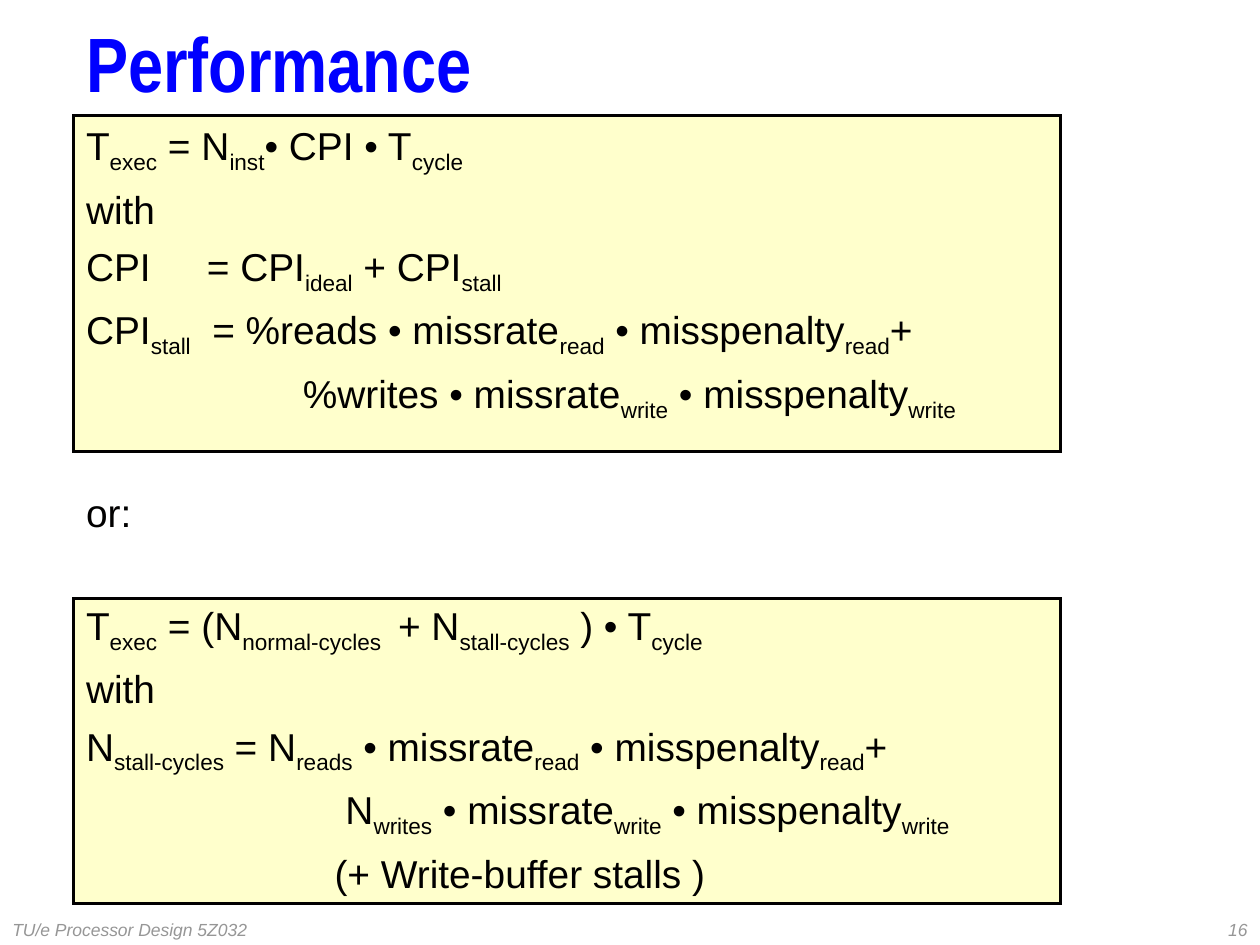
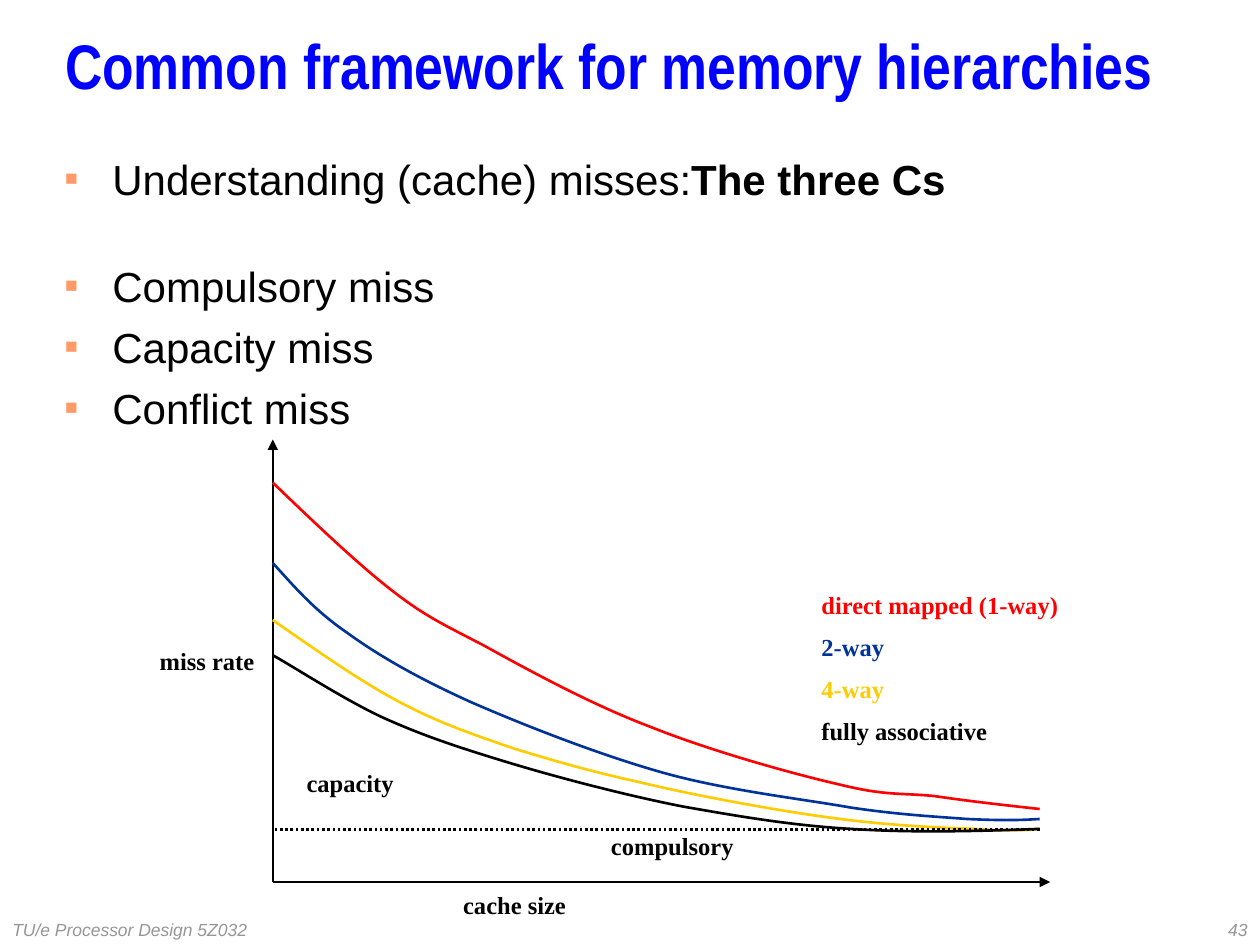
from dataclasses import dataclass
from typing import NamedTuple

from lxml import etree
from pptx import Presentation
from pptx.dml.color import RGBColor
from pptx.enum.dml import MSO_LINE
from pptx.enum.shapes import MSO_CONNECTOR, MSO_SHAPE
from pptx.enum.text import MSO_ANCHOR, MSO_AUTO_SIZE, PP_ALIGN
from pptx.oxml.ns import qn
from pptx.util import Cm, Pt

STRAIGHT = MSO_CONNECTOR.STRAIGHT
RECTANGLE = MSO_SHAPE.RECTANGLE
DOTTED = MSO_LINE.ROUND_DOT
MIDDLE = MSO_ANCHOR.MIDDLE
NO_AUTOFIT = MSO_AUTO_SIZE.NONE
LEFT, CENTER, RIGHT = PP_ALIGN.LEFT, PP_ALIGN.CENTER, PP_ALIGN.RIGHT


@dataclass(frozen=True)
class Theme:
    ink: str = "010000"
    title: str = "0000FF"
    footer: str = "969696"
    bullet: str = "FF9966"
    panel: str = "FFFFCC"
    red: str = "FF0000"
    blue: str = "003399"
    yellow: str = "FFCC00"
    title_font: str = "Arial Narrow"
    body_font: str = "Arial"
    label_font: str = "Times New Roman"
    formula_size: float = 22.2
    list_size: float = 24
    label_size: float = 14
    footer_size: float = 10
    line_width: float = 1.5
    paragraph_gap: float = 6
    hanging: float = 0.95


THEME = Theme()


class Box(NamedTuple):
    left: float
    top: float
    width: float
    height: float


class Formula(NamedTuple):
    text: str
    indent: float = 0
    gap: float = THEME.paragraph_gap


class ListItem(NamedTuple):
    text: str
    bold_text: str = ""
    gap: float = THEME.paragraph_gap


class Label(NamedTuple):
    text: str
    box: Box
    color: str = THEME.ink
    alignment: PP_ALIGN = CENTER


class Curve(NamedTuple):
    name: str
    color: str
    start: tuple
    control_points: list


FOOTER_TEXT = "TU/e Processor Design 5Z032"
FOOTER_BOX = Box(0, 18.42, 5.29, 0.63)
NUMBER_BOX = Box(20.11, 18.42, 5.29, 0.63)

PANELS = [Box(1.48, 2.33, 19.9, 6.77), Box(1.48, 12.07, 19.9, 6.14)]
SECTION_GAP = 37.8
FORMULAS = [
    Formula("T|exec| = N|inst|• CPI • T|cycle|", gap=0),
    Formula("with"),
    Formula("CPI \t = CPI|ideal| + CPI|stall|"),
    Formula("CPI|stall|  = %reads • missrate|read| • misspenalty|read|+"),
    Formula("%writes • missrate|write| • misspenalty|write|", indent=4.37),
    Formula("or:", gap=SECTION_GAP),
    Formula("T|exec| = (N|normal-cycles | + N|stall-cycles| ) • T|cycle|", gap=SECTION_GAP),
    Formula("with"),
    Formula("N|stall-cycles| = N|reads| • missrate|read| • misspenalty|read|+"),
    Formula("N|writes| • missrate|write| • misspenalty|write|", indent=5.23),
    Formula("(+ Write-buffer stalls )", indent=5.01),
]

MISS_LIST = [
    ListItem("Understanding (cache) misses:", "The three Cs", 0),
    ListItem("Compulsory miss", gap=32.4),
    ListItem("Capacity miss"),
    ListItem("Conflict miss"),
]

AXIS_LEFT, AXIS_TOP, AXIS_BOTTOM, AXIS_RIGHT = 5.5, 8.86, 17.78, 21.17
CURVE_RIGHT, COMPULSORY_LEVEL = 20.96, 16.72
CURVES = [
    Curve("direct mapped (1-way)", THEME.red, (AXIS_LEFT, 9.73), [
        (6.32, 10.52), (7.14, 11.3), (7.82, 11.84),
        (8.53, 12.4), (8.86, 12.55), (9.73, 13),
        (10.62, 13.49), (11.91, 14.2), (13.13, 14.66),
        (14.33, 15.14), (15.98, 15.6), (16.94, 15.82),
        (17.88, 16.05), (18.16, 15.98), (18.85, 16.05),
        (19.51, 16.15), (20.24, 16.23), (CURVE_RIGHT, 16.31),
    ]),
    Curve("2-way", THEME.blue, (AXIS_LEFT, 11.35), [
        (5.92, 11.81), (6.32, 12.29), (6.99, 12.75),
        (7.65, 13.23), (8.46, 13.69), (9.53, 14.17),
        (10.59, 14.63), (12.07, 15.21), (13.34, 15.57),
        (14.61, 15.93), (16.13, 16.1), (17.15, 16.28),
        (18.16, 16.43), (18.85, 16.46), (19.48, 16.51),
        (20.12, 16.54), (20.52, 16.54), (CURVE_RIGHT, 16.51),
    ]),
    Curve("4-way", THEME.yellow, (AXIS_LEFT, 12.5), [
        (6.38, 13.11), (7.24, 13.72), (8.05, 14.15),
        (8.86, 14.58), (9.55, 14.81), (10.36, 15.09),
        (11.18, 15.34), (11.86, 15.54), (12.9, 15.77),
        (13.97, 16.03), (15.6, 16.33), (16.71, 16.48),
        (17.86, 16.64), (18.97, 16.69), (19.69, 16.71),
        (20.4, 16.76), (20.68, 16.74), (CURVE_RIGHT, 16.71),
    ]),
    Curve("fully associative", THEME.ink, (AXIS_LEFT, 13.21), [
        (5.87, 13.41), (6.96, 14.12), (7.75, 14.48),
        (8.53, 14.83), (9.22, 15.06), (10.24, 15.37),
        (11.23, 15.67), (12.6, 16.03), (13.77, 16.26),
        (14.91, 16.46), (15.95, 16.64), (17.15, 16.71),
        (18.34, 16.79), (19.66, 16.76), (CURVE_RIGHT, 16.71),
    ]),
]

LABEL_HEIGHT = 0.86
LEGEND_LEFT, LEGEND_TOP, LEGEND_WIDTH, LEGEND_STEP = 16.31, 11.76, 5.4, 0.85
LABELS = [
    Label("cache size", Box(8.89, 17.81, 2.97, LABEL_HEIGHT)),
    Label("miss rate", Box(2.77, 12.9, 2.81, LABEL_HEIGHT)),
    Label("capacity", Box(5.73, 15.36, 2.66, LABEL_HEIGHT)),
    Label("compulsory", Box(11.87, 16.63, 3.37, LABEL_HEIGHT)),
]


def style_font(font, name: str, size: float, color: str, bold=False, italic=False) -> None:
    font.name, font.size = name, Pt(size)
    font.bold, font.italic = bold, italic
    font.color.rgb = RGBColor.from_string(color)


def style_line(line, color: str) -> None:
    line.color.rgb = RGBColor.from_string(color)
    line.width = Pt(THEME.line_width)


def place(shape, box: Box) -> None:
    shape.left, shape.top, shape.width, shape.height = map(Cm, box)


def add_text(slide, label: Label, font: str, size: float, bold=False, italic=False):
    shape = slide.shapes.add_textbox(*map(Cm, label.box))
    text_frame = shape.text_frame
    text_frame.text = label.text
    text_frame.word_wrap = True
    paragraph = text_frame.paragraphs[0]
    paragraph.alignment = label.alignment
    style_font(paragraph.runs[0].font, font, size, label.color, bold, italic)
    return text_frame


def add_base_slide(presentation, title: str, title_size: float, left: float, number: int):
    slide = presentation.slides.add_slide(presentation.slide_layouts[1])
    shape = slide.shapes.title
    place(shape, Box(left, 0.42, 23.28, 2.12))
    text_frame = shape.text_frame
    text_frame.text = title
    text_frame.auto_size = NO_AUTOFIT
    text_frame.vertical_anchor = MIDDLE
    paragraph = text_frame.paragraphs[0]
    paragraph.alignment = LEFT
    paragraph.line_spacing = 0.7
    style_font(paragraph.runs[0].font, THEME.title_font, title_size, THEME.title, bold=True)
    for footer in (Label(str(number), NUMBER_BOX, THEME.footer, RIGHT),
                   Label(FOOTER_TEXT, FOOTER_BOX, THEME.footer, LEFT)):
        footer_frame = add_text(slide, footer, THEME.body_font, THEME.footer_size, italic=True)
        footer_frame.vertical_anchor = MIDDLE
    return slide


def body_paragraphs(slide, box: Box, texts: list[str]):
    body = slide.placeholders[1]
    place(body, box)
    body.text_frame.auto_size = NO_AUTOFIT
    body.text_frame.text = "\n".join(texts)
    return body.text_frame.paragraphs


def set_indent(paragraph, margin: float, hanging: float):
    properties = paragraph._p.get_or_add_pPr()
    properties.set("marL", str(Cm(margin)))
    properties.set("indent", str(-Cm(hanging)))
    return properties


def add_formulas(slide) -> None:
    first_parts = [formula.text.split("|")[0] for formula in FORMULAS]
    paragraphs = body_paragraphs(slide, Box(1.48, 2.33, 23.28, 16.72), first_parts)
    for paragraph, formula in zip(paragraphs, FORMULAS):
        properties = set_indent(paragraph, formula.indent + THEME.hanging, THEME.hanging)
        paragraph.space_before = Pt(formula.gap)
        etree.SubElement(properties, qn("a:buNone"))
        for part in formula.text.split("|")[1:]:
            if part:
                paragraph.add_run().text = part
        for index, run in enumerate(paragraph.runs):
            style_font(run.font, THEME.body_font, THEME.formula_size, THEME.ink)
            if index % 2:
                run.font._element.set("baseline", "-25000")


def add_miss_list(slide) -> None:
    paragraphs = body_paragraphs(slide, Box(1.06, 2.96, 23.28, 6.35),
                                 [item.text for item in MISS_LIST])
    for paragraph, item in zip(paragraphs, MISS_LIST):
        properties = set_indent(paragraph, THEME.hanging, THEME.hanging)
        paragraph.space_before = Pt(item.gap)
        color = etree.SubElement(properties, qn("a:buClr"))
        etree.SubElement(color, qn("a:srgbClr"), val=THEME.bullet)
        etree.SubElement(properties, qn("a:buSzPct"), val="50000")
        etree.SubElement(properties, qn("a:buFont"), typeface=THEME.body_font)
        etree.SubElement(properties, qn("a:buChar"), char="■")
        if item.bold_text:
            paragraph.add_run().text = item.bold_text
        for index, run in enumerate(paragraph.runs):
            style_font(run.font, THEME.body_font, THEME.list_size, THEME.ink, bold=index > 0)


def add_panel(slide, box: Box) -> None:
    shape = slide.shapes.add_shape(RECTANGLE, *map(Cm, box))
    shape.shadow.inherit = False
    shape.fill.solid()
    shape.fill.fore_color.rgb = RGBColor.from_string(THEME.panel)
    style_line(shape.line, THEME.ink)
    etree.SubElement(shape.line._get_or_add_ln(), qn("a:miter"), lim="800000")
    slide.shapes._spTree.insert(2, shape._element)


def add_line(slide, start: tuple, end: tuple, arrow: bool = False):
    connector = slide.shapes.add_connector(STRAIGHT, *map(Cm, start + end))
    style_line(connector.line, THEME.ink)
    if arrow:
        etree.SubElement(connector.line._get_or_add_ln(), qn("a:tailEnd"), type="triangle")
    etree.SubElement(connector._element.spPr, qn("a:effectLst"))
    return connector


def add_curve(slide, curve: Curve) -> None:
    builder = slide.shapes.build_freeform(*map(Cm, curve.start))
    builder.add_line_segments([tuple(map(Cm, point)) for point in curve.control_points], close=False)
    shape = builder.convert_to_shape()
    segments = list(shape._element.iter(qn("a:lnTo")))
    outline = segments[0].getparent()
    for first in range(0, len(segments), 3):
        bezier = etree.SubElement(outline, qn("a:cubicBezTo"))
        for segment in segments[first:first + 3]:
            bezier.append(segment[0])
            outline.remove(segment)
    shape.shadow.inherit = False
    shape.fill.background()
    style_line(shape.line, curve.color)


def add_miss_rate_graph(slide) -> None:
    origin = (AXIS_LEFT, AXIS_BOTTOM)
    add_line(slide, origin, (AXIS_LEFT, AXIS_TOP), arrow=True)
    add_line(slide, origin, (AXIS_RIGHT, AXIS_BOTTOM), arrow=True)
    for curve in CURVES:
        add_curve(slide, curve)
    level = add_line(slide, (CURVE_RIGHT, COMPULSORY_LEVEL), (AXIS_LEFT, COMPULSORY_LEVEL))
    level.line.dash_style = DOTTED
    legend = [Label(curve.name, Box(LEGEND_LEFT, LEGEND_TOP + index * LEGEND_STEP,
                                    LEGEND_WIDTH, LABEL_HEIGHT), curve.color, LEFT)
              for index, curve in enumerate(CURVES)]
    for label in LABELS + legend:
        add_text(slide, label, THEME.label_font, THEME.label_size, bold=True)


def main() -> None:
    presentation = Presentation()
    presentation.slide_width, presentation.slide_height = Cm(25.4), Cm(19.05)
    performance = add_base_slide(presentation, "Performance", 44, 1.48, 16)
    for panel in PANELS:
        add_panel(performance, panel)
    add_formulas(performance)
    framework = add_base_slide(presentation, "Common framework for memory hierarchies", 36, 1.06, 43)
    add_miss_list(framework)
    add_miss_rate_graph(framework)
    presentation.save("out.pptx")


if __name__ == "__main__":
    main()
